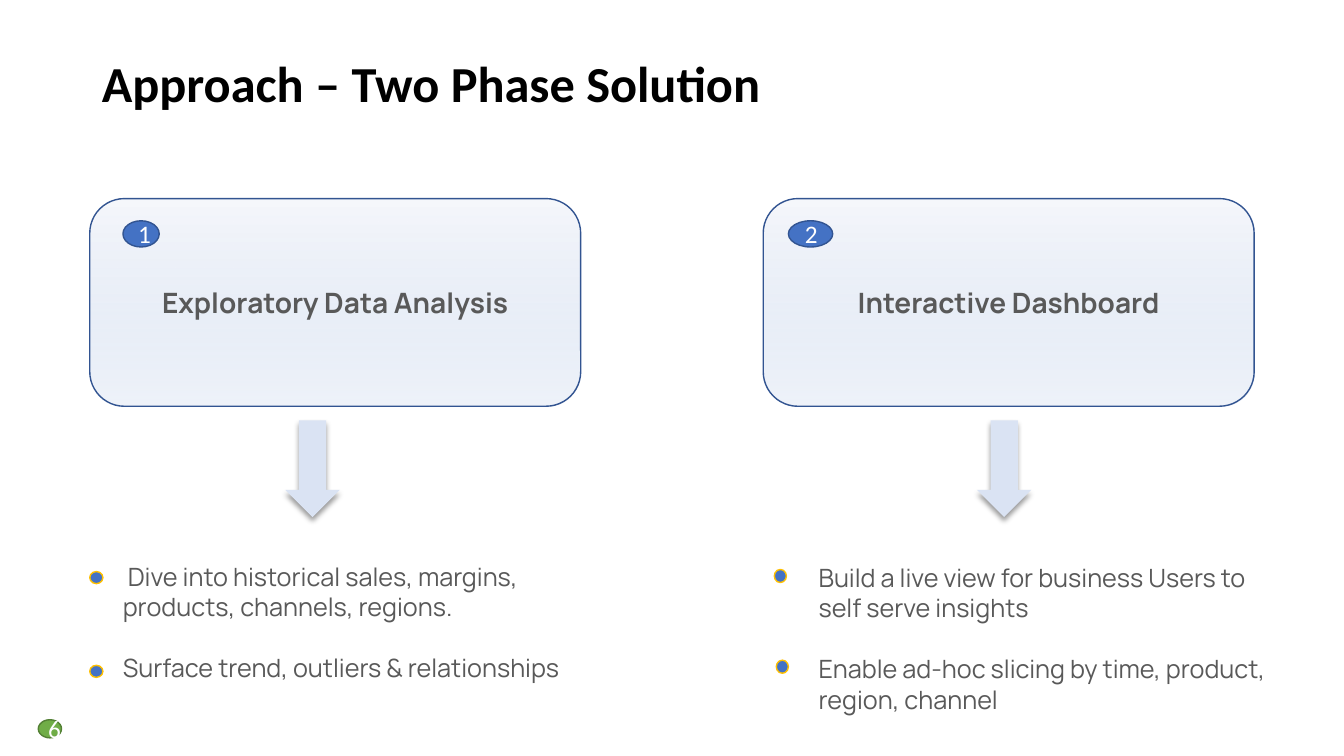
from dataclasses import dataclass

from lxml.etree import SubElement
from pptx import Presentation
from pptx.dml.color import RGBColor
from pptx.enum.shapes import MSO_SHAPE as Shape
from pptx.enum.text import MSO_ANCHOR as Anchor, MSO_AUTO_SIZE as AutoSize, PP_ALIGN as Align
from pptx.oxml.ns import qn
from pptx.util import Inches, Pt

WIDTH, HEIGHT = Inches(13.33), Inches(7.5)
BLUE, NAVY, GREY, WHITE = "4472C4", "325491", "595959", "FFFFFF"


@dataclass
class Phase:
    number: str
    name: str
    card_left: float
    badge: tuple
    arrow_left: float
    goal_box: tuple
    goals: tuple
    dot_size: tuple
    dots: tuple


PHASES = (
    Phase("1", "Exploratory Data Analysis", 6.68, (9.15, 29.2, 2.7, 3.47), 21.23,
          (8.4, 73.6, 36.53, 21.6),
          (" Dive into historical sales, margins, products, channels, regions.",
           "Surface trend, outliers & relationships"),
          (0.98, 1.6), ((6.68, 75.6), (6.68, 88))),
    Phase("2", "Interactive Dashboard", 56.79, (58.66, 29.2, 3.3, 3.47), 72.69,
          (60.17, 73.73, 35.26, 25.6),
          ("Build a live view for business Users to self serve insights",
           "Enable ad-hoc slicing by time, product, region, channel"),
          (0.9, 1.73), ((57.61, 75.33), (57.76, 87.33))),
)


def color(value):
    return RGBColor.from_string(value)


def place(left, top, width, height):
    return (round(WIDTH * left / 100), round(HEIGHT * top / 100),
            round(WIDTH * width / 100), round(HEIGHT * height / 100))


def add_run(paragraph, text, size, font, hue, bold=False):
    run = paragraph.add_run()
    run.text = text
    run.font.size = Pt(size)
    run.font.name = font
    run.font.bold = bold
    run.font.color.rgb = color(hue)


def add_block(slide, kind, box, fill=None, line=None):
    shape = slide.shapes.add_shape(kind, *place(*box))
    shape.shadow.inherit = False
    if fill:
        shape.fill.solid()
        shape.fill.fore_color.rgb = color(fill)
    if line:
        shape.line.color.rgb = color(line)
        shape.line.width = Pt(1)
    else:
        shape.line.fill.background()
    return shape


def add_label(shape, text, size, font, hue, bold=False):
    shape.text_frame.vertical_anchor = Anchor.MIDDLE
    paragraph = shape.text_frame.paragraphs[0]
    paragraph.alignment = Align.CENTER
    add_run(paragraph, text, size, font, hue, bold)


def add_badge(slide, number, box, fill, line):
    add_label(add_block(slide, Shape.OVAL, box, fill, line), number, 18, "Calibri", WHITE)


def add_card(slide, name, left):
    card = add_block(slide, Shape.ROUNDED_RECTANGLE, (left, 26.27, 36.53, 27.47), line=NAVY)
    card.fill.gradient()
    card.fill.gradient_angle = 270
    for stop, hue, position in zip(card.fill.gradient_stops, ("F6F8FC", "C7D5ED"), (0, 1)):
        stop.color.rgb = color(hue)
        stop.position = position
    last_color = card.element.spPr.findall(".//" + qn("a:srgbClr"))[1]
    SubElement(last_color, qn("a:alpha"), val="28000")
    add_label(card, name, 20, "Manrope", GREY, True)


def add_arrow(slide, left):
    arrow = add_block(slide, Shape.DOWN_ARROW, (left, 55.6, 4.05, 12.8), "DAE3F3")
    effects = arrow.element.spPr.find(qn("a:effectLst"))
    shadow = SubElement(effects, qn("a:outerShdw"), blurRad=str(Pt(4)), dist=str(Pt(3)),
                        dir="5400000", algn="t", rotWithShape="0")
    SubElement(SubElement(shadow, qn("a:srgbClr"), val="000000"), qn("a:alpha"), val="40000")


def add_goals(slide, box, goals):
    frame = slide.shapes.add_textbox(*place(*box)).text_frame
    frame.word_wrap = True
    for index, goal in enumerate(goals):
        paragraph = frame.add_paragraph() if index else frame.paragraphs[0]
        if index:
            paragraph.space_before = Pt(22)
        add_run(paragraph, goal, 18, "Manrope", GREY)


def add_title(slide, text):
    title = slide.shapes.title
    title.left, title.top, title.width, title.height = place(6.83, 6.27, 64.2, 9.47)
    frame = title.text_frame
    frame.auto_size = AutoSize.NONE
    frame.vertical_anchor = Anchor.TOP
    paragraph = frame.paragraphs[0]
    paragraph.alignment = Align.LEFT
    add_run(paragraph, text, 36, "Calibri", "000000", True)


def add_phase(slide, phase):
    add_card(slide, phase.name, phase.card_left)
    add_badge(slide, phase.number, phase.badge, BLUE, NAVY)
    add_arrow(slide, phase.arrow_left)
    add_goals(slide, phase.goal_box, phase.goals)
    for dot in phase.dots:
        add_block(slide, Shape.OVAL, dot + phase.dot_size, BLUE, "FFC000")


def main():
    presentation = Presentation()
    presentation.slide_width, presentation.slide_height = WIDTH, HEIGHT
    slide = presentation.slides.add_slide(presentation.slide_layouts[5])
    add_title(slide, "Approach – Two Phase Solution")
    for phase in PHASES:
        add_phase(slide, phase)
    add_badge(slide, "6", (2.85, 95.2, 1.73, 2.4), "70AD47", "538035")
    presentation.save("out.pptx")


if __name__ == "__main__":
    main()
